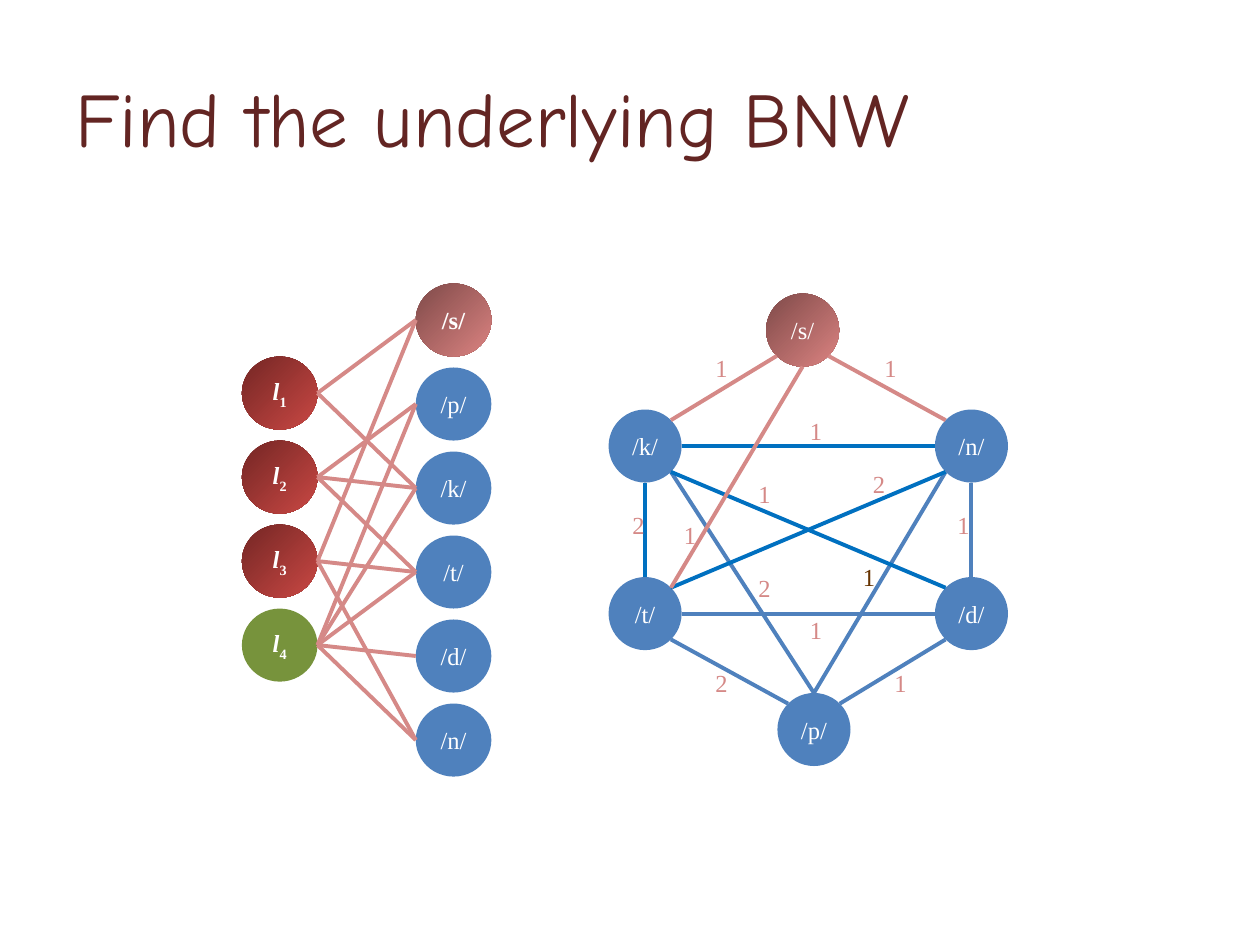
from dataclasses import dataclass
from math import cos, radians, sin

from lxml import etree
from pptx import Presentation
from pptx import util as u
from pptx.dml.color import RGBColor
from pptx.enum import shapes, text
from pptx.oxml import ns


@dataclass(frozen=True)
class Theme:
    title_font: str = "Comic Neue"
    body_font: str = "Times New Roman"
    title_size: int = 44
    body_size: int = 14
    line_width: float = 2.25
    title: str = "632523"
    white: str = "FFFFFF"
    rose: str = "D58987"
    blue: str = "4F81BD"
    bright: str = "0070C0"
    green: str = "77933C"
    brown: str = "663300"
    red_blend: tuple = ("742624", "C94844")
    rose_blend: tuple = ("7F4A49", "DB8381")


T = Theme()
NODE = 0.58
PITCH = 2 / 3  # vertical step between nodes of a column

# Directions from a node's centre to its rim, in degrees clockwise from east
RIM = {"E": 0, "SE": 45, "S": 90, "SW": 135, "W": 180, "NW": 225, "N": 270, "NE": 315}


def style(r, color, size=T.body_size, font=T.body_font, bold=False):
    r.font.name, r.font.size, r.font.bold = font, u.Pt(size), bold
    r.font.color.rgb = RGBColor.from_string(color)


def add_text(sp_tree, box, words, color, size=T.body_size, font=T.body_font,
             anchor=text.MSO_ANCHOR.TOP):
    sp = sp_tree.add_textbox(*map(u.Inches, box))
    tf = sp.text_frame
    tf.text = words
    tf.word_wrap = True
    tf.vertical_anchor = anchor
    style(tf.paragraphs[0].runs[0], color, size, font)


def add_node(sp_tree, x, y, width, label, fill, bold=False, subscript=None):
    sp = sp_tree.add_shape(shapes.MSO_SHAPE.OVAL,
                           *map(u.Inches, (x, y, width, NODE)))
    sp.shadow.inherit = False
    sp.line.fill.background()
    if isinstance(fill, tuple):
        sp.fill.gradient()
        sp.fill.gradient_angle = 315
        for stop, color in zip(sp.fill.gradient_stops, fill):
            stop.color.rgb = RGBColor.from_string(color)
    else:
        sp.fill.solid()
        sp.fill.fore_color.rgb = RGBColor.from_string(fill)
    tf = sp.text_frame
    tf.word_wrap = False
    tf.vertical_anchor = text.MSO_ANCHOR.MIDDLE
    p = tf.paragraphs[0]
    p.text = label
    p.alignment = text.PP_ALIGN.CENTER
    style(p.runs[0], T.white, bold=bold)
    if subscript:
        p.runs[0].font.italic = True
        r = p.add_run()
        r.text = subscript
        style(r, T.white, bold=bold)
        r.font._element.set("baseline", "-25000")


def add_edge(sp_tree, start, end, color):
    line = sp_tree.add_connector(shapes.MSO_CONNECTOR.STRAIGHT,
                                 *map(u.Inches, (*start, *end)))
    line.line.width = u.Pt(T.line_width)
    line.line.color.rgb = RGBColor.from_string(color)
    etree.SubElement(line._element.spPr, ns.qn("a:effectLst"))


def add_title(s, box):
    add_text(s.shapes, box, "Find the underlying BNW", T.title, T.title_size,
             T.title_font, text.MSO_ANCHOR.MIDDLE)


def add_bipartite(s, left, top):
    """Languages on the left, linked to the consonants on the right."""
    sp_tree = s.shapes.add_group_shape().shapes
    width, gap = 0.6, 0.78
    right = left + width + gap
    language_top = top + 0.58
    consonants = "spktdn"
    links = ["sk", "pkt", "stn", "pktdn"]

    for i in range(len(links)):
        fill = T.green if i == 3 else T.red_blend
        add_node(sp_tree, left, language_top + i * PITCH, width, "l", fill,
                 bold=True, subscript=str(i + 1))
    for i, name in enumerate(consonants):
        first = i == 0
        add_node(sp_tree, right, top + i * PITCH, width, f"/{name}/",
                 T.rose_blend if first else T.blue, bold=first)
    for i, targets in enumerate(links):
        for name in targets:
            start = left + width, language_top + NODE / 2 + i * PITCH
            end = right, top + NODE / 2 + consonants.index(name) * PITCH
            add_edge(sp_tree, start, end, T.rose)


def add_network(s, left, top):
    """Consonant network with weighted edges."""
    sp_tree = s.shapes.add_group_shape().shapes
    nodes = {"s": (1.25, 0), "n": (2.59, 0.92), "k": (0, 0.92),
             "p": (1.34, 3.17), "t": (0, 2.25), "d": (2.59, 2.25)}
    # From node and rim side, to node and rim side, colour
    edges = [
        ("s", "SW", "k", "NE", T.rose), ("p", "N", "k", "SE", T.blue),
        ("p", "NW", "t", "SE", T.blue), ("s", "SE", "n", "NW", T.rose),
        ("k", "S", "t", "N", T.bright), ("p", "NE", "d", "SW", T.blue),
        ("d", "N", "n", "S", T.blue), ("p", "N", "n", "SW", T.blue),
        ("k", "E", "n", "W", T.bright), ("t", "NE", "n", "SW", T.bright),
        ("t", "E", "d", "W", T.blue), ("d", "NW", "k", "SE", T.bright),
        ("t", "NE", "s", "S", T.rose),
    ]
    # Offset of each weight, its value and colour
    weights = [
        (1.09, 1.42, "1", T.rose), (0.75, 0.42, "1", T.rose),
        (2.09, 0.42, "1", T.rose), (1.09, 2.17, "2", T.rose),
        (0.09, 1.67, "2", T.rose), (0.75, 2.92, "2", T.rose),
        (2.67, 1.67, "1", T.rose), (2.0, 1.34, "2", T.rose),
        (1.92, 2.08, "1", T.brown), (1.5, 0.92, "1", T.rose),
        (2.17, 2.92, "1", T.rose), (0.5, 1.75, "1", T.rose),
        (1.5, 2.5, "1", T.rose),
    ]

    def rim(name, side):
        x, y = nodes[name]
        angle, radius = radians(RIM[side]), NODE / 2
        return (left + x + radius * (1 + cos(angle)),
                top + y + radius * (1 + sin(angle)))

    for name, (x, y) in nodes.items():
        add_node(sp_tree, left + x, top + y, NODE, f"/{name}/",
                 T.rose_blend if name == "s" else T.blue)
    for a, a_side, b, b_side, color in edges:
        add_edge(sp_tree, rim(a, a_side), rim(b, b_side), color)
    for x, y, value, color in weights:
        add_text(sp_tree, (left + x, top + y, 0.5, 0.34), value, color)


def main():
    prs = Presentation()
    prs.slide_width, prs.slide_height = u.Inches(10), u.Inches(7.5)
    s = prs.slides.add_slide(prs.slide_layouts[6])
    add_title(s, (0.5, 0.3, 9, 1.25))
    add_bipartite(s, 1.92, 2.25)
    add_network(s, 4.83, 2.33)
    prs.save("out.pptx")


if __name__ == "__main__":
    main()
